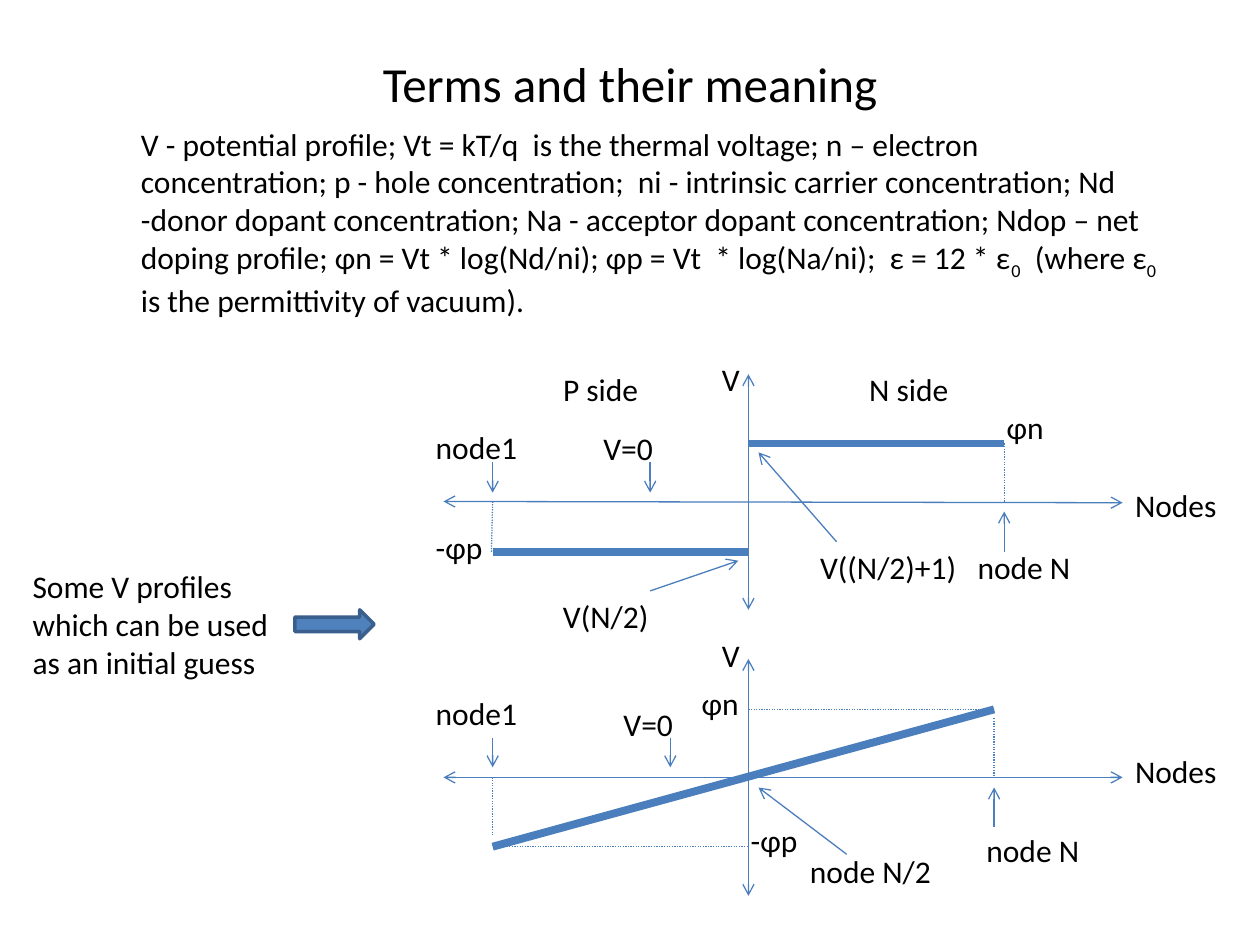
"""Build a slide that explains device terms and sketches two initial potential profiles."""
from lxml.etree import SubElement
from pptx import Presentation
from pptx.dml.color import RGBColor
from pptx.enum.dml import MSO_LINE
from pptx.enum.shapes import MSO_CONNECTOR, MSO_SHAPE
from pptx.enum.text import MSO_ANCHOR, PP_ALIGN
from pptx.oxml.ns import qn
from pptx.util import Pt

PX = 9144
BLACK = RGBColor(0x00, 0x00, 0x00)
LINE_BLUE = RGBColor(0x4B, 0x7E, 0xBC)
FILL_BLUE = RGBColor(0x4F, 0x81, 0xBD)
EDGE_BLUE = RGBColor(0x3A, 0x5F, 0x8C)

prs = Presentation()
prs.slide_width, prs.slide_height = 1000 * PX, 750 * PX
s = prs.slides.add_slide(prs.slide_layouts[6])


def add_text(x, y, w, h, runs, size=18):
    sp = s.shapes.add_textbox(x * PX, y * PX, w * PX, h * PX)
    tf = sp.text_frame
    tf.word_wrap = True
    p = tf.paragraphs[0]
    p.font.name, p.font.size, p.font.color.rgb = "Calibri", Pt(size), BLACK
    for i, text in enumerate(runs):
        r = p.add_run()
        r.text = text
        if i % 2:
            r.font._element.set("baseline", "-25000")
    return tf


def add_line(x1, y1, x2, y2, width=0.75, dotted=False, ends=()):
    sp = s.shapes.add_connector(MSO_CONNECTOR.STRAIGHT, x1 * PX, y1 * PX, x2 * PX, y2 * PX)
    sp.line.color.rgb = LINE_BLUE
    sp.line.width = Pt(width)
    if dotted:
        sp.line.dash_style = MSO_LINE.ROUND_DOT
    for end in ends:
        SubElement(sp.line._get_or_add_ln(), qn(f"a:{end}")).set("type", "arrow")
    SubElement(sp._element.spPr, qn("a:effectLst"))


title = add_text(50, 30, 900, 72, ["Terms and their meaning"], 28)
title.vertical_anchor = MSO_ANCHOR.MIDDLE
title.paragraphs[0].alignment = PP_ALIGN.CENTER

add_text(102, 94, 836, 162, [
    "V - potential profile; Vt = kT/q  is the thermal voltage; n – electron concentration; "
    "p - hole concentration;  ni - intrinsic carrier concentration; "
    "Nd -donor dopant concentration; Na - acceptor dopant concentration; "
    "Ndop – net doping profile; φn = Vt * log(Nd/ni); φp = Vt  * log(Na/ni);  ε = 12 * ε",
    "0", "  (where ε", "0", "  is the permittivity of vacuum)."])

for axis in [
    (352, 398, 891, 399), (594, 297, 594, 484),
    (352, 617, 891, 617), (594, 523, 594, 711),
]:
    add_line(*axis, ends=("headEnd", "tailEnd"))

for profile in [(594, 352, 797, 352), (391, 438, 594, 438), (391, 672, 789, 563)]:
    add_line(*profile, width=4.5)

for guide in [
    (797, 352, 797, 399), (391, 398, 390, 438), (789, 570, 789, 617),
    (594, 563, 789, 563), (398, 672, 594, 672), (391, 617, 391, 664),
]:
    add_line(*guide, dotted=True)

for pointer in [
    (797, 438, 797, 406), (391, 367, 391, 391), (516, 367, 516, 391),
    (516, 469, 586, 445), (664, 430, 602, 359),
    (789, 656, 789, 625), (391, 586, 391, 609), (532, 586, 532, 609),
    (672, 678, 602, 625),
]:
    add_line(*pointer, ends=("tailEnd",))

for x, y, w, label in [
    (563, 281, 55, "V"), (437, 289, 102, "P side"), (680, 289, 102, "N side"),
    (789, 319, 55, "φn"), (336, 414, 78, "-φp"), (336, 335, 125, "node1"),
    (469, 336, 63, "V=0"), (766, 430, 102, "node N"), (891, 381, 102, "Nodes"),
    (437, 469, 94, "V(N/2)"), (641, 430, 148, "V((N/2)+1)"),
    (563, 500, 55, "V"), (547, 538, 55, "φn"), (586, 647, 78, "-φp"),
    (336, 546, 125, "node1"), (485, 555, 63, "V=0"), (773, 655, 125, "node N"),
    (891, 592, 102, "Nodes"), (633, 671, 133, "node N/2"),
]:
    add_text(x, y, w, 40, [label])

add_text(16, 445, 219, 101, ["Some V profiles which can be used as an initial guess"])
sp = s.shapes.add_shape(MSO_SHAPE.RIGHT_ARROW, 234 * PX, 484 * PX, 63 * PX, 23 * PX)
sp.shadow.inherit = False
sp.fill.solid()
sp.fill.fore_color.rgb = FILL_BLUE
sp.line.color.rgb = EDGE_BLUE
sp.line.width = Pt(2)

prs.save("out.pptx")
